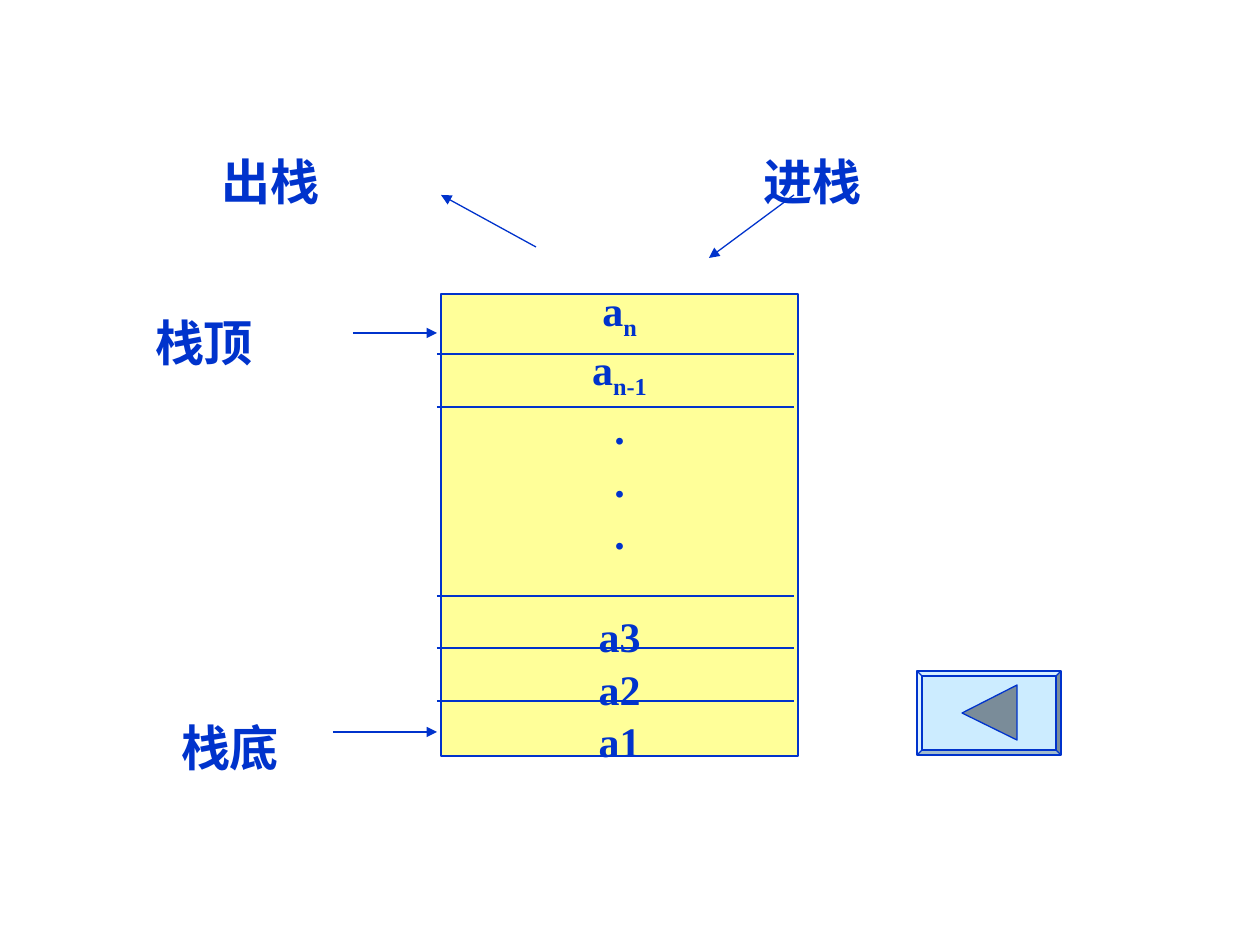
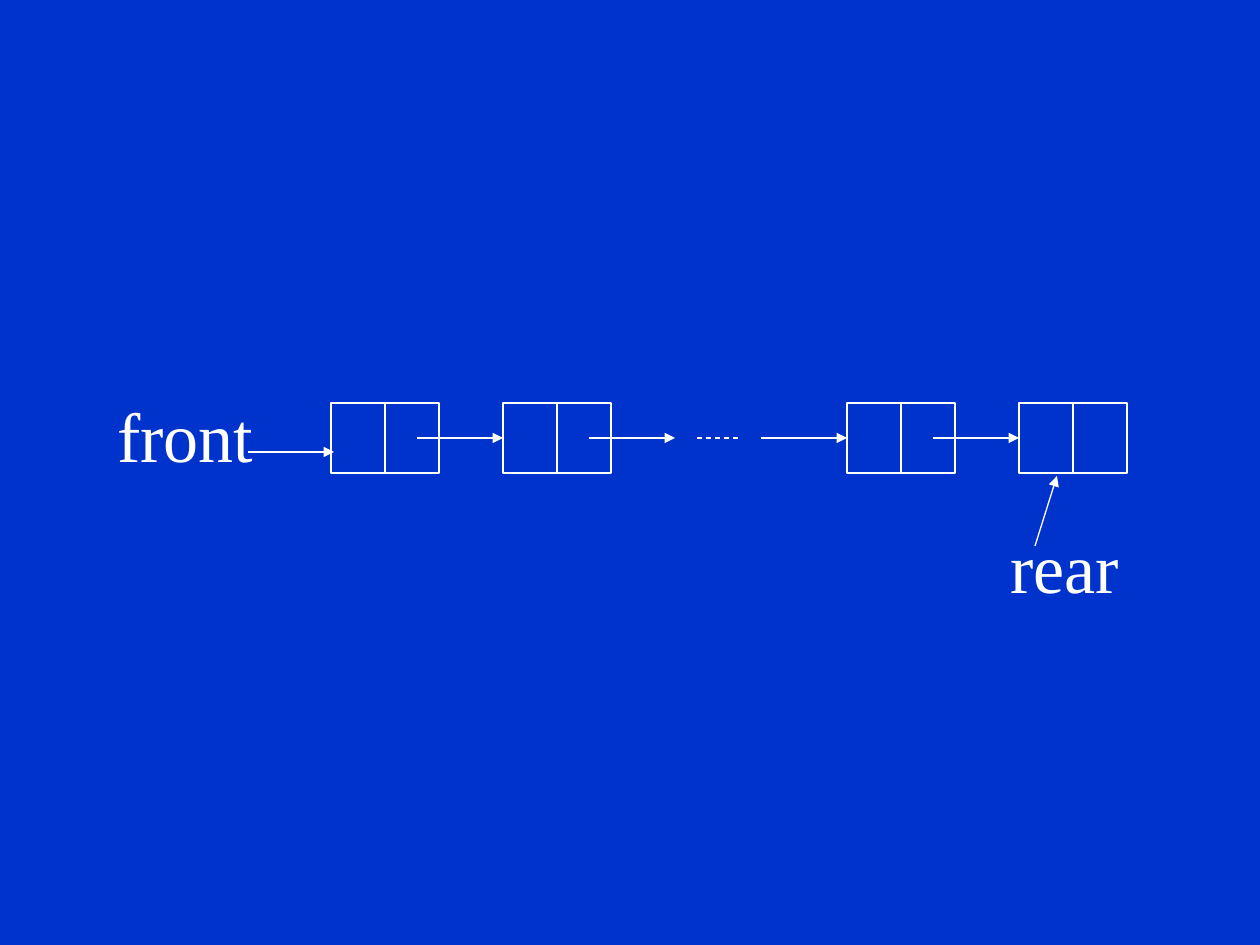
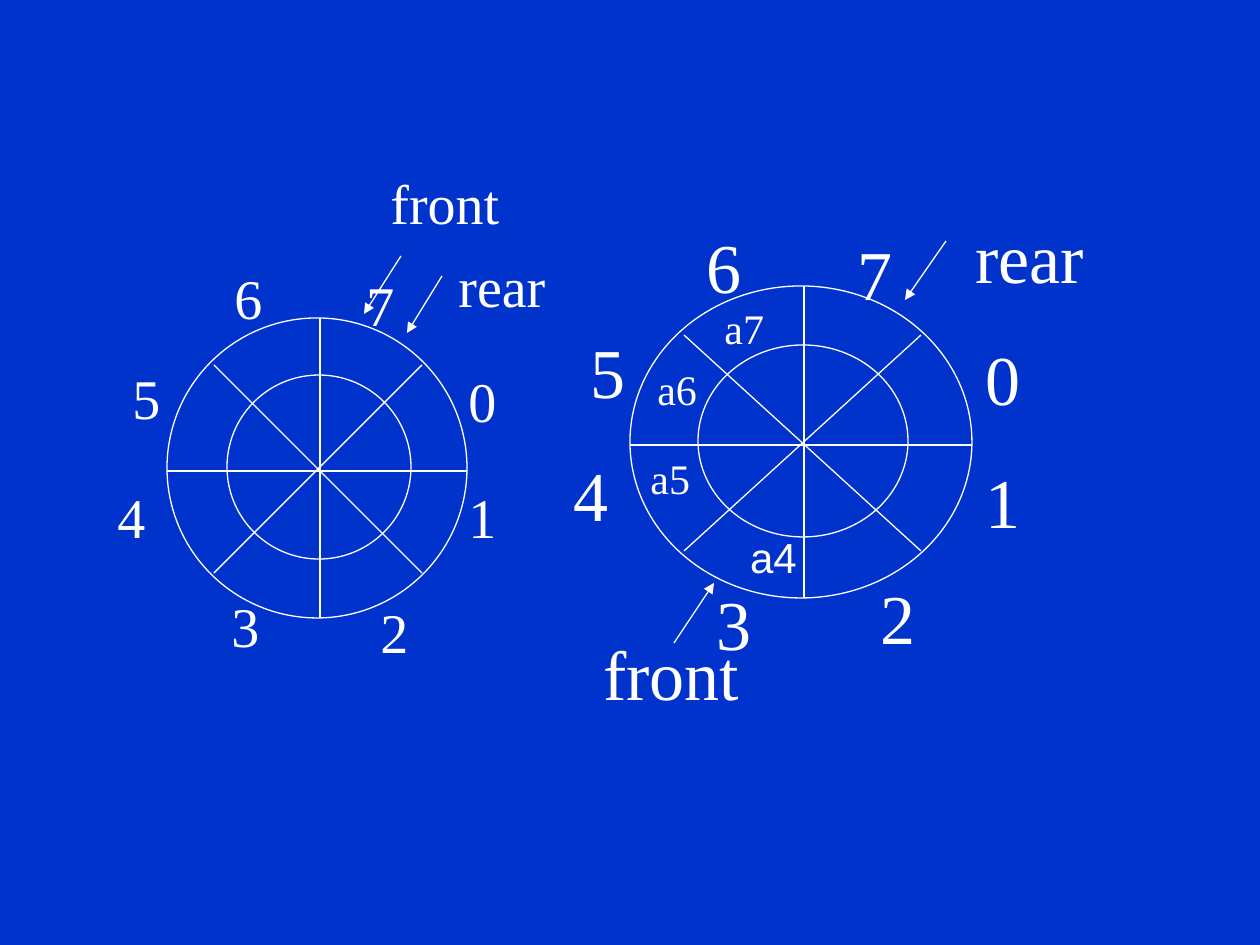
from pptx import Presentation
from pptx import util as u
from pptx.dml.color import RGBColor
from pptx.enum import dml, shapes, text
from pptx.oxml.ns import qn
from lxml import etree

PX = 914400 / 126  # EMU in one px
BLUE, WHITE, YELLOW, SKY, GREY = "0033CC", "FFFFFF", "FFFF99", "CCECFF", "7A8C99"
SERIF, SANS = "Times New Roman", "Arial"
KIND = shapes.MSO_SHAPE


def px(*vals):
    return [u.Emu(round(v * PX)) for v in vals]


def rgb(code):
    return RGBColor.from_string(code)


# Elements
def add_page(deck, back):
    page = deck.slides.add_slide(deck.slide_layouts[6])
    page.background.fill.solid()
    page.background.fill.fore_color.rgb = rgb(back)
    return page


def paint(shape, line, fill=None):
    shape.shadow.inherit = False
    if fill:
        shape.fill.solid()
        shape.fill.fore_color.rgb = rgb(fill)
    else:
        shape.fill.background()
    shape.line.color.rgb = rgb(line)
    shape.line.width = u.Pt(0.75)
    return shape


def add_form(page, kind, box, line, fill=None):
    return paint(page.shapes.add_shape(kind, *px(*box)), line, fill)


def add_line(page, start, end, color, arrow=False, dash=False):
    line = page.shapes.add_connector(shapes.MSO_CONNECTOR.STRAIGHT, *px(*start, *end))
    line.line.color.rgb = rgb(color)
    line.line.width = u.Pt(0.75)
    if dash:
        line.line.dash_style = dml.MSO_LINE.DASH
    if arrow:
        etree.SubElement(line.line._get_or_add_ln(), qn("a:tailEnd"), type="triangle")
    etree.SubElement(line._element.spPr, qn("a:effectLst"))
    return line


def add_run(para, words, size, color, font=SERIF, bold=False, sub=False):
    run = para.add_run()
    run.text = words
    run.font.name, run.font.size, run.font.bold = font, u.Pt(size), bold
    run.font.color.rgb = rgb(color)
    if sub:
        run.font._element.set("baseline", "-25000")


def add_label(page, words, box, size, color=WHITE, font=SERIF, bold=False, space=0.8):
    frame = page.shapes.add_textbox(*px(*box)).text_frame
    frame.word_wrap = True
    para = frame.paragraphs[0]
    para.line_spacing = space
    add_run(para, words, size, color, font, bold)
    return frame


# Stack
def add_stack(page):
    stack = add_form(page, KIND.RECTANGLE, (441, 294, 357, 462), BLUE, YELLOW)
    frame = stack.text_frame
    frame.word_wrap = False
    frame.vertical_anchor = text.MSO_ANCHOR.MIDDLE
    items = [("a", "n"), ("a", "n-1"), ".", ".", ".", "a3", "a2", "a1"]
    for num, item in enumerate(items):
        para = frame.paragraphs[0] if num == 0 else frame.add_paragraph()
        para.alignment = text.PP_ALIGN.CENTER
        para.space_before = u.Pt(30 if item == "a3" else 1.2)
        for part, words in enumerate(item if isinstance(item, tuple) else [item]):
            add_run(para, words, 24, BLUE, bold=True, sub=part == 1)
    for y in (354, 407, 596, 648, 701):
        add_line(page, (437, y), (794, y), BLUE)


def add_button(page):
    frame = add_form(page, KIND.BEVEL, (917, 671, 144, 84), BLUE, SKY)
    frame.adjustments[0] = 0.06
    pen = page.shapes.build_freeform(962, 713, scale=PX)
    pen.add_line_segments([(1017, 685), (1017, 740)], close=True)
    paint(pen.convert_to_shape(), BLUE, GREY)


def draw_stack(deck):
    page = add_page(deck, WHITE)
    for words, x, y in (("出栈", 222, 151), ("进栈", 764, 151),
                        ("栈顶", 155, 312), ("栈底", 181, 717)):
        frame = add_label(page, words, (x, y, 120, 72), 28, BLUE, SANS, True, 1.0)
        frame.margin_left = frame.margin_right = frame.margin_top = frame.margin_bottom = 0
    add_stack(page)
    for start, end in (((333, 732), (437, 732)), ((353, 333), (437, 333)),
                       ((536, 247), (441, 195)), ((794, 195), (709, 258))):
        add_line(page, start, end, BLUE, arrow=True)
    add_button(page)


# Linked queue
def add_node(page, x, y):
    node = add_form(page, KIND.RECTANGLE, (x, y, 108, 70), WHITE)
    add_line(page, (x + 54, y), (x + 54, y + 70), WHITE)
    return node


def draw_queue(deck):
    page = add_page(deck, BLUE)
    left, top, step = 331, 403, 172
    mid = top + 35
    nodes = {i: add_node(page, left + i * step, top) for i in (0, 1, 3, 4)}
    for i in range(4):
        x = left + i * step
        link = add_line(page, (x + 86, mid), (x + step, mid), WHITE, arrow=True)
        if i + 1 in nodes:
            link.end_connect(nodes[i + 1], 1)
    add_line(page, (697, mid), (739, mid), WHITE, dash=True)
    add_label(page, "front", (105, 403, 175, 87), 40)
    add_line(page, (248, 452), (334, 452), WHITE, arrow=True)
    add_label(page, "rear", (998, 534, 168, 87), 40)
    add_line(page, (1035, 546), (1057, 476), WHITE, arrow=True)


# Ring queues
def add_ring(page, x, y, w, h):
    def spot(across, down):
        return x + round(w * across), y + round(h * down)

    add_form(page, KIND.OVAL, (x, y, w, h), WHITE)
    add_form(page, KIND.OVAL, (*spot(0.2, 0.19), round(w * 0.615), round(h * 0.615)), WHITE)
    low, high, mid = 0.157, 0.85, 0.51
    for start, end in (((mid, 0), (mid, 1)), ((0, mid), (1, mid)),
                       ((low, low), (high, high)), ((high, low), (low, high))):
        add_line(page, spot(*start), spot(*end), WHITE)


def add_marks(page, size, slots, names, arrows):
    for num, (x, y) in enumerate(slots):
        add_label(page, str(num), (x, y, 82, 58), size)
    for words, x, y in names:
        add_label(page, words, (x, y, 165, 58), size)
    for start, end in arrows:
        add_line(page, start, end, WHITE, arrow=True)


def draw_rings(deck):
    page = add_page(deck, BLUE)
    add_ring(page, 167, 318, 300, 300)
    add_marks(page, 32,
              [(456, 373), (456, 489), (368, 604), (219, 598),
               (105, 489), (120, 370), (222, 270), (354, 277)],
              [("front", 378, 175), ("rear", 446, 258)],
              [((401, 256), (364, 314)), ((442, 276), (407, 333))])
    add_ring(page, 630, 286, 342, 312)
    add_marks(page, 40,
              [(973, 346), (973, 469), (868, 585), (704, 591),
               (561, 462), (578, 339), (694, 234), (845, 241)],
              [("front", 591, 641), ("rear", 963, 224)],
              [((674, 643), (714, 583)), ((946, 241), (905, 300))])
    for words, x, y in (("a7", 712, 306), ("a6", 645, 367), ("a5", 638, 456)):
        add_label(page, words, (x, y, 118, 59), 24)
    frame = add_label(page, "a4", (699, 522, 149, 69), 24, font=SANS, space=1.0)
    frame.vertical_anchor = text.MSO_ANCHOR.MIDDLE
    frame.paragraphs[0].alignment = text.PP_ALIGN.CENTER


def main():
    deck = Presentation()
    deck.slide_width, deck.slide_height = px(1260, 945)
    draw_stack(deck)
    draw_queue(deck)
    draw_rings(deck)
    deck.save("out.pptx")


if __name__ == "__main__":
    main()
